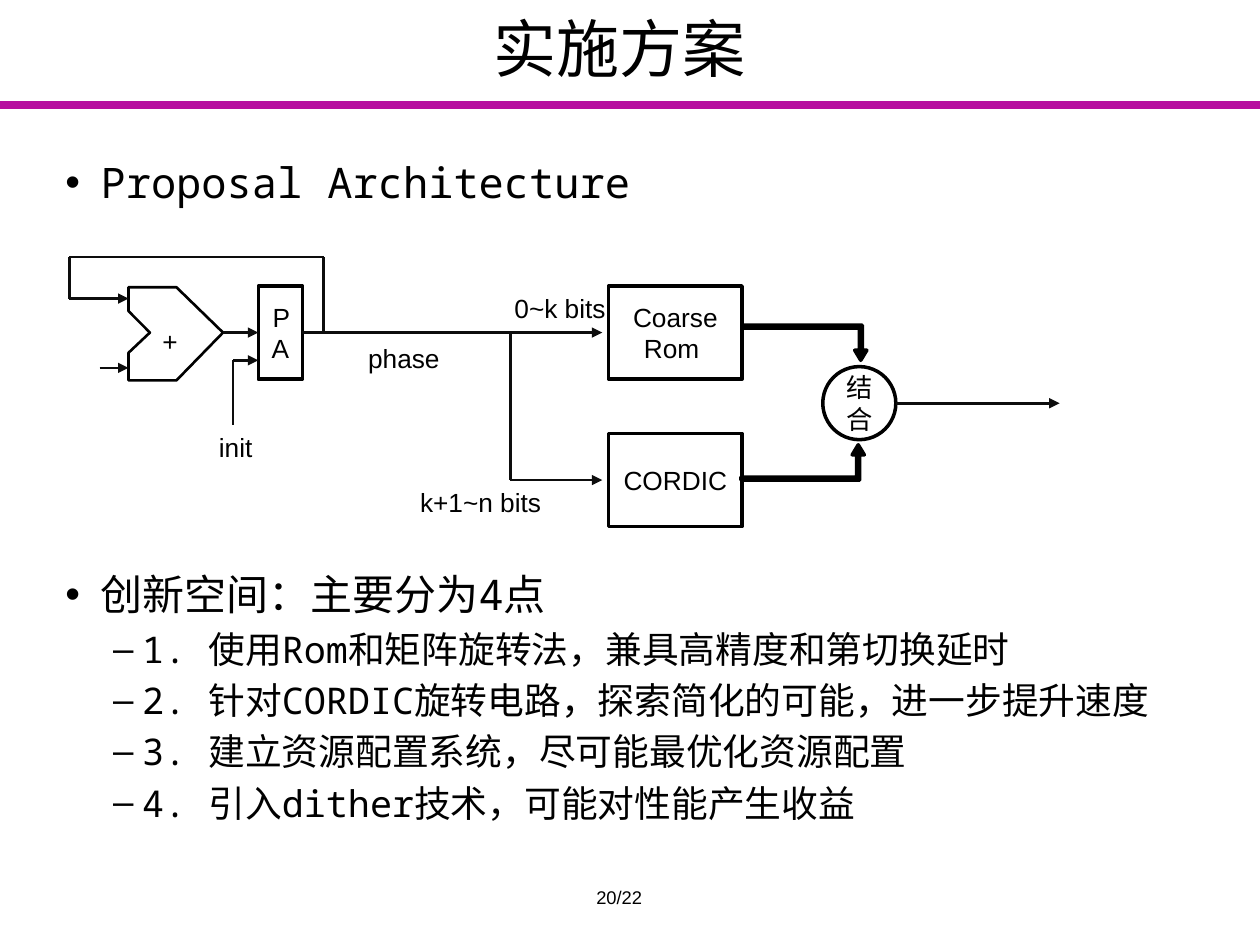
from lxml.etree import SubElement
from pptx import Presentation
from pptx.dml.color import RGBColor
from pptx.enum.shapes import MSO_CONNECTOR as Connector, MSO_SHAPE as Shape
from pptx.enum.text import MSO_ANCHOR as Anchor, PP_ALIGN as Align
from pptx.oxml.ns import qn
from pptx.util import Inches, Pt

COLORS = {"ink": "000000", "wire": "0D0D0D", "paper": "FFFFFF", "rule": "B70D9F"}


class SlideBuilder:
    sans = "Arial"
    mono = "Noto Sans Mono"
    label_size = 15
    wire_width = 1.5
    block_width = 2

    def __init__(self, slide):
        self.slide = slide
        self.shapes = slide.shapes

    def color(self, name):
        return RGBColor.from_string(COLORS[name])

    def format_runs(self, paragraph, size, font):
        for run in paragraph.runs:
            run.font.size = Pt(size)
            run.font.name = font
            run.font.color.rgb = self.color("ink")
            SubElement(run.font._element, qn("a:ea")).set("typeface", font)

    def fill_text(self, frame, text, size, font):
        frame.text = text
        frame.paragraphs[0].alignment = Align.CENTER
        self.format_runs(frame.paragraphs[0], size, font)

    def text(self, x, y, w, h, text, size=label_size, font=sans, anchor=Anchor.TOP, wrap=False):
        frame = self.shapes.add_textbox(Inches(x), Inches(y), Inches(w), Inches(h)).text_frame
        frame.word_wrap = wrap
        frame.vertical_anchor = anchor
        self.fill_text(frame, text, size, font)

    def bullets(self, x, y, w, h, items):
        styles = [("•", 24, 0.28, 0.28, 33.5), ("–", 21, 0.61, 0.23, 29.3)]
        frame = self.shapes.add_textbox(Inches(x), Inches(y), Inches(w), Inches(h)).text_frame
        frame.word_wrap = True
        for index, (level, content) in enumerate(items):
            mark, size, margin, hanging, pitch = styles[level]
            paragraph = frame.paragraphs[0] if index == 0 else frame.add_paragraph()
            paragraph.text = content
            paragraph.level = level
            properties = paragraph._p.get_or_add_pPr()
            properties.set("marL", str(Inches(margin)))
            properties.set("indent", str(-Inches(hanging)))
            SubElement(properties, qn("a:buFont")).set("typeface", self.sans)
            SubElement(properties, qn("a:buChar")).set("char", mark)
            paragraph.line_spacing = Pt(pitch)
            self.format_runs(paragraph, size, self.mono)

    def outline(self, shape, width):
        shape.shadow.inherit = False
        shape.line.color.rgb = self.color("ink")
        shape.line.width = Pt(width)

    def block(self, kind, x, y, w, h, text):
        block = self.shapes.add_shape(kind, Inches(x), Inches(y), Inches(w), Inches(h))
        self.outline(block, self.block_width)
        block.fill.solid()
        block.fill.fore_color.rgb = self.color("paper")
        block.text_frame.vertical_anchor = Anchor.MIDDLE
        self.fill_text(block.text_frame, text, self.label_size, self.sans)
        return block

    def bent_arrow(self, x, y, w, h, flipped=False):
        arrow = self.shapes.add_shape(Shape.BENT_UP_ARROW, Inches(x), Inches(y), Inches(w), Inches(h))
        self.outline(arrow, self.block_width)
        arrow.fill.solid()
        arrow.fill.fore_color.rgb = self.color("ink")
        for index, value in enumerate((0.084, 0.172, 0.286)):
            arrow.adjustments[index] = value
        if flipped:
            arrow._element.spPr.find(qn("a:xfrm")).set("flipV", "1")

    def polygon(self, points):
        corners = [(Inches(x), Inches(y)) for x, y in points]
        builder = self.shapes.build_freeform(*corners[0], scale=1.0)
        builder.add_line_segments(corners[1:], close=True)
        polygon = builder.convert_to_shape()
        polygon.fill.background()
        self.outline(polygon, self.wire_width)

    def line(self, start, end, arrow=False, color="wire", width=wire_width):
        line = self.shapes.add_connector(Connector.STRAIGHT, *map(Inches, start + end))
        line.line.color.rgb = self.color(color)
        line.line.width = Pt(width)
        if arrow:
            SubElement(line.line._get_or_add_ln(), qn("a:tailEnd")).set("type", "triangle")
        SubElement(line._element.spPr, qn("a:effectLst"))
        return line

    def route(self, *points):
        for start, end in zip(points, points[1:]):
            self.line(start, end, arrow=end == points[-1])


def main():
    deck = Presentation()
    deck.slide_width, deck.slide_height = Inches(10), Inches(7.5)
    page = SlideBuilder(deck.slides.add_slide(deck.slide_layouts[6]))

    page.line((0, 0.83), (10, 0.83), color="rule", width=4.5)
    page.text(0.42, -0.25, 9, 1.25, "实施方案", 36, page.mono, Anchor.MIDDLE, True)
    page.bullets(0.42, 1.13, 9.08, 0.6, [(0, "Proposal Architecture")])
    page.bullets(0.42, 4.4, 9.08, 2.4, [
        (0, "创新空间：主要分为4点"),
        (1, "1. 使用Rom和矩阵旋转法，兼具高精度和第切换延时"),
        (1, "2. 针对CORDIC旋转电路，探索简化的可能，进一步提升速度"),
        (1, "3. 建立资源配置系统，尽可能最优化资源配置"),
        (1, "4. 引入dither技术，可能对性能产生收益"),
    ])
    page.text(3.33, 6.98, 3.17, 0.52, "20/22", 10.5, wrap=True)

    axis = 2.64
    page.polygon([(1.02, 2.28), (1.4, 2.28), (1.77, axis), (1.4, 3.02),
                  (1.02, 3.02), (1.02, 2.8), (1.19, axis), (1.02, 2.47)])
    accumulator = page.block(Shape.RECTANGLE, 2.05, 2.27, 0.35, 0.74, "PA")
    page.block(Shape.RECTANGLE, 4.83, 2.27, 1.06, 0.74, "Coarse Rom ")
    page.block(Shape.RECTANGLE, 4.83, 3.44, 1.06, 0.74, "CORDIC")

    page.line((1.77, axis), (2.05, axis), arrow=True).end_connect(accumulator, 1)
    page.line((2.4, axis), (4.78, axis), arrow=True).begin_connect(accumulator, 3)
    page.line((0.79, 2.92), (1.02, 2.92), arrow=True)
    page.route((2.57, axis), (2.57, 2.04), (0.55, 2.04), (0.55, 2.37), (1.02, 2.37))
    page.route((1.85, 3.37), (1.85, 2.86), (2.05, 2.86))
    page.route((4.05, axis), (4.05, 3.81), (4.78, 3.81))

    page.bent_arrow(5.9, 2.58, 0.98, 0.28, flipped=True)
    page.bent_arrow(5.88, 3.53, 0.98, 0.28)
    page.block(Shape.OVAL, 6.53, 2.91, 0.58, 0.58, "结合")
    page.line((7.11, 3.2), (8.41, 3.2), arrow=True)

    for x, y, w, h, name in [
        (1.19, 2.53, 0.31, 0.31, "+"),
        (1.63, 3.37, 0.48, 0.32, "init"),
        (2.81, 2.67, 0.79, 0.35, "phase"),
        (3.18, 3.81, 1.27, 0.35, "k+1~n bits"),
        (3.91, 2.27, 1.07, 0.35, "0~k bits"),
    ]:
        page.text(x, y, w, h, name)

    deck.save("out.pptx")


if __name__ == "__main__":
    main()
